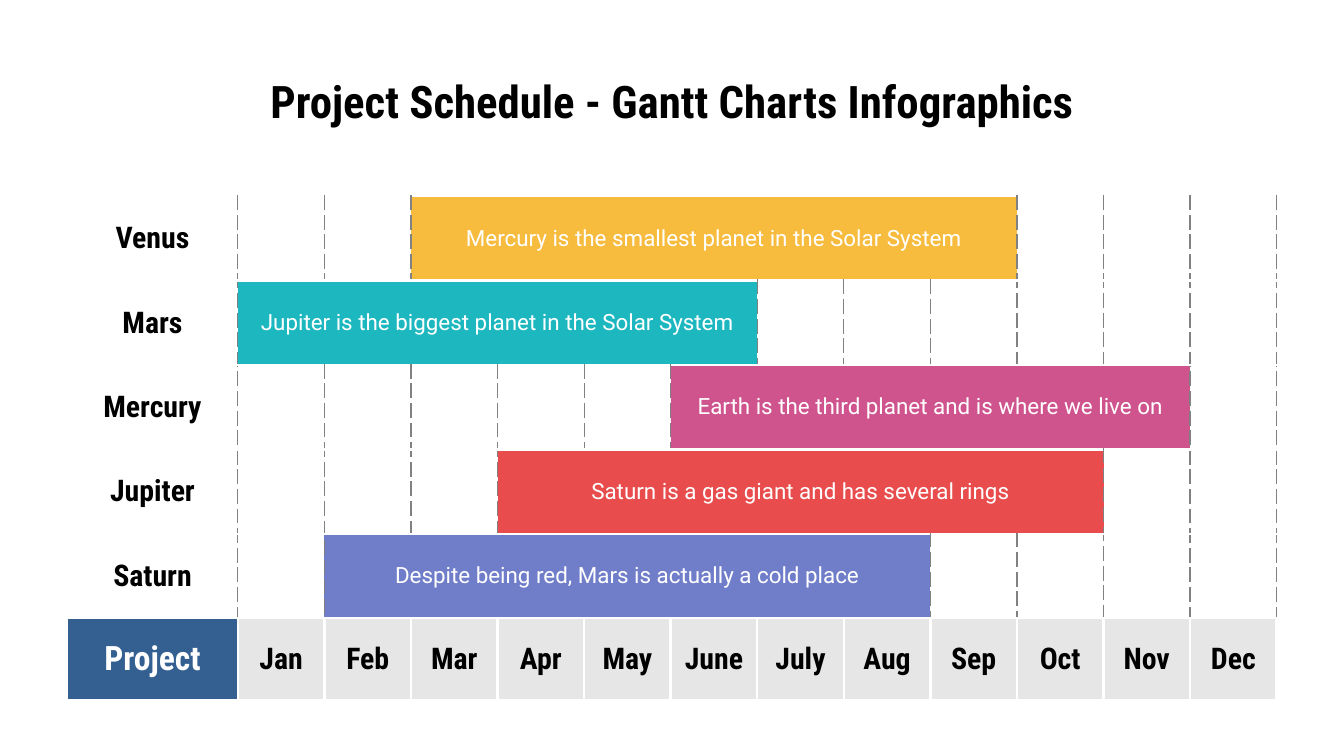
"""Build a Gantt chart slide: a year of months with one bar per project."""
import pptx
import pptx.dml.color
import pptx.enum.text
import pptx.oxml
import pptx.oxml.ns
import pptx.util
from pptx.util import Inches

COLORS = {
    "text": "000000", "white": "FFFFFF", "grid": "818181", "month": "E6E6E6",
    "project": "346091", "Venus": "F7BB3D", "Mars": "1DB7C0",
    "Mercury": "CF548E", "Jupiter": "E94C4C", "Saturn": "707DC9",
}
MONTHS = ["Jan", "Feb", "Mar", "Apr", "May", "June",
          "July", "Aug", "Sep", "Oct", "Nov", "Dec"]
BARS = [
    ("Venus", 3, 9, "Mercury is the smallest planet in the Solar System"),
    ("Mars", 1, 6, "Jupiter is the biggest planet in the Solar System"),
    ("Mercury", 6, 11, "Earth is the third planet and is where we live on"),
    ("Jupiter", 4, 10, "Saturn is a gas giant and has several rings"),
    ("Saturn", 2, 8, "Despite being red, Mars is actually a cold place"),
]


def write(text_frame, text, size, color, font="Roboto Condensed", bold=True):
    """Put one centred paragraph into a text frame."""
    paragraph = text_frame.paragraphs[0]
    paragraph.text = text
    paragraph.alignment = pptx.enum.text.PP_ALIGN.CENTER
    paragraph.font.size = pptx.util.Pt(size)
    paragraph.font.name = font
    paragraph.font.bold = bold
    paragraph.font.color.rgb = pptx.dml.color.RGBColor.from_string(COLORS[color])


def paint(cell, fill, dashed_sides):
    """Fill a cell, with dashed grid lines on some sides and white on the rest."""
    cell.fill.solid()
    cell.fill.fore_color.rgb = pptx.dml.color.RGBColor.from_string(COLORS[fill])
    cell.vertical_anchor = pptx.enum.text.MSO_ANCHOR.MIDDLE
    cell.margin_left = cell.margin_right = Inches(0.1)
    cell.margin_top = cell.margin_bottom = Inches(0.1)
    properties = cell._tc.get_or_add_tcPr()
    for index, side in enumerate("LRTB"):
        dashed = side in dashed_sides
        color, width, dash = ("grid", 0.75, "dash") if dashed else ("white", 1.5, "solid")
        properties.insert(index, pptx.oxml.parse_xml(
            f'<a:ln{side} {pptx.oxml.ns.nsdecls("a")} w="{pptx.util.Pt(width)}">'
            f'<a:solidFill><a:srgbClr val="{COLORS[color]}"/></a:solidFill>'
            f'<a:prstDash val="{dash}"/></a:ln{side}>'))


presentation = pptx.Presentation()
presentation.slide_width = Inches(10)
presentation.slide_height = Inches(10) * 9 // 16
slide = presentation.slides.add_slide(presentation.slide_layouts[5])

title = slide.shapes.title
title.left, title.top = Inches(0.5), Inches(0.45)
title.width, title.height = Inches(9), Inches(0.63)
title_frame = title.text_frame
title_frame.vertical_anchor = pptx.enum.text.MSO_ANCHOR.TOP
title_frame.margin_left = title_frame.margin_right = Inches(0.1)
title_frame.margin_top = title_frame.margin_bottom = Inches(0.1)
write(title_frame, "Project Schedule - Gantt Charts Infographics", 24, "text")

label_width, bars_height, months_height = Inches(1.27), Inches(3.14), Inches(0.61)
table = slide.shapes.add_table(
    len(BARS) + 1, len(MONTHS) + 1, Inches(0.5), Inches(1.46),
    Inches(9), bars_height + months_height).table
table.first_row = table.horz_banding = False

for column in table.columns:
    column.width = (Inches(9) - label_width) // len(MONTHS)
table.columns[0].width = label_width
for row in table.rows:
    row.height = bars_height // len(BARS)
table.rows[len(BARS)].height = months_height

for row, (name, first, last, caption) in enumerate(BARS):
    for column in range(len(MONTHS) + 1):
        fill = name if first <= column <= last else "white"
        paint(table.cell(row, column), fill, "LR" if column else "R")
    write(table.cell(row, 0).text_frame, name, 16, "text")
    bar = table.cell(row, first)
    bar.merge(table.cell(row, last))
    write(bar.text_frame, caption, 12, "white", "Roboto", False)

for column, heading in enumerate(["Project"] + MONTHS):
    cell = table.cell(len(BARS), column)
    paint(cell, "month" if column else "project", "")
    write(cell.text_frame, heading, 16 if column else 18, "text" if column else "white")

presentation.save("out.pptx")
